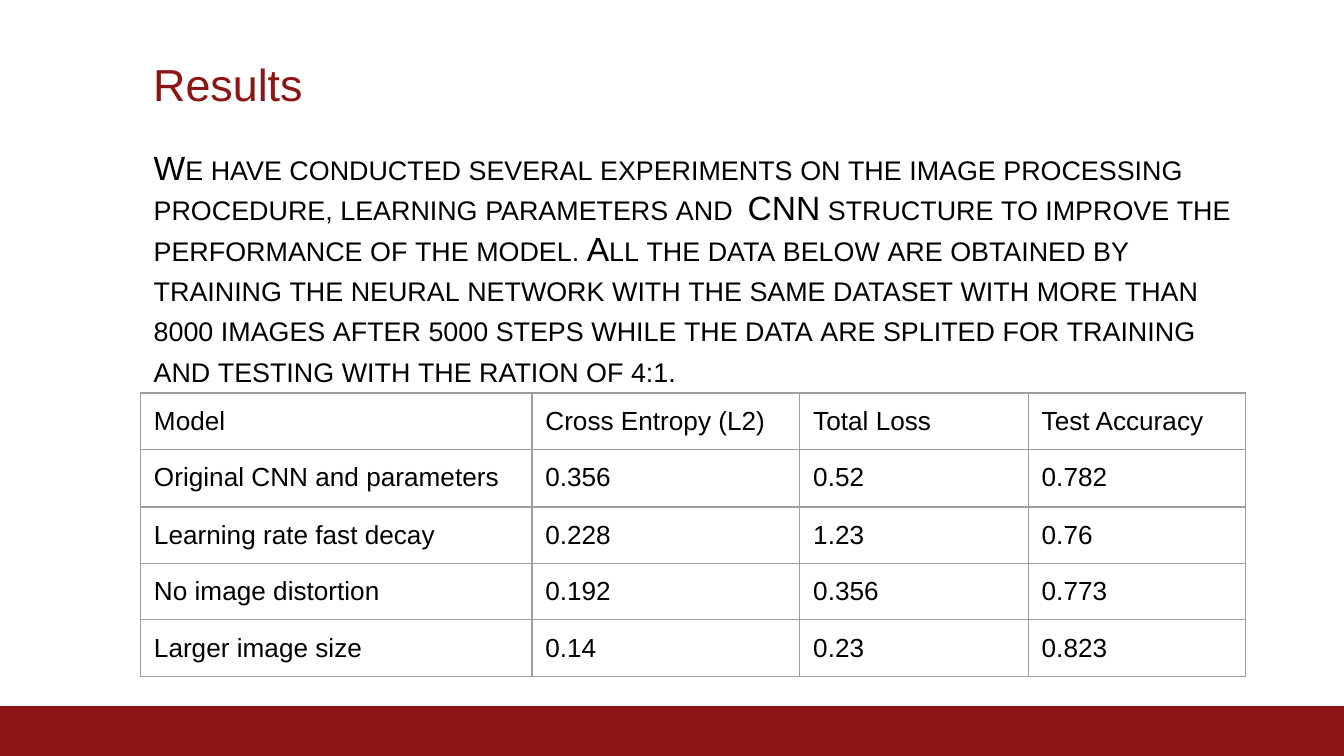
"""Build a results slide with a summary paragraph and a model comparison table."""
from lxml import etree
from pptx import Presentation
from pptx import util as u
from pptx.dml.color import RGBColor
from pptx.enum import shapes, text
from pptx.oxml import ns

CARDINAL = RGBColor(0x8C, 0x15, 0x15)
BLACK = RGBColor(0x00, 0x00, 0x00)
GRAY = RGBColor(0x9E, 0x9E, 0x9E)
FRAME_MARGINS = {f"margin_{side}": u.Pt(7.2) for side in ("left", "right", "top", "bottom")}
CELL_MARGINS = {**FRAME_MARGINS, "margin_bottom": u.Pt(6)}

SUMMARY = (
    "We have conducted several experiments on the image processing procedure, "
    "learning parameters and  CNN structure to improve the performance of the model. "
    "All the data below are obtained by training the neural network with the same dataset "
    "with more than 8000 images after 5000 steps while the data are splited for training "
    "and testing with the ration of 4:1."
)
RESULTS = [
    ["Model", "Cross Entropy (L2)", "Total Loss", "Test Accuracy"],
    ["Original CNN and parameters", "0.356", "0.52", "0.782"],
    ["Learning rate fast decay", "0.228", "1.23", "0.76"],
    ["No image distortion", "0.192", "0.356", "0.773"],
    ["Larger image size", "0.14", "0.23", "0.823"],
]
COLUMN_WIDTHS = [209.7, 143.5, 122.4, 116.2]
ROW_HEIGHTS = [30.2, 31, 30.2, 30.2, 30.2]


def write_text(frame, content, size, color, spacing=1.0):
    frame.word_wrap = True
    paragraph = frame.paragraphs[0]
    paragraph.line_spacing = spacing
    run = paragraph.add_run()
    run.text = content
    run.font.color.rgb = color
    for name, value in {"name": "Arial", "size": u.Pt(size), "bold": False}.items():
        setattr(run.font, name, value)
    return run


def add_border(cell, side):
    properties = cell._tc.get_or_add_tcPr()
    line = etree.SubElement(properties, ns.qn(f"a:{side}"), w=str(u.Pt(0.75)))
    fill = etree.SubElement(line, ns.qn("a:solidFill"))
    etree.SubElement(fill, ns.qn("a:srgbClr"), val=str(GRAY))


presentation = Presentation()
presentation.slide_width = u.Pt(720)
presentation.slide_height = u.Pt(405)
slide = presentation.slides.add_slide(presentation.slide_layouts[6])

footer = slide.shapes.add_shape(
    shapes.MSO_SHAPE.RECTANGLE, u.Pt(0), u.Pt(378.6), u.Pt(720), u.Pt(27)
)
footer.shadow.inherit = False
footer.fill.solid()
footer.fill.fore_color.rgb = CARDINAL
footer.line.color.rgb = CARDINAL
footer.line.width = u.Pt(0.75)

text_blocks = [
    ("Results", (75, 28.4, 607, 38), 24, CARDINAL, 0.85, text.MSO_ANCHOR.BOTTOM, "none"),
    (SUMMARY, (75.3, 71.5, 606.5, 296), 18, BLACK, 1.0, text.MSO_ANCHOR.TOP, "small"),
]
for content, bounds, size, color, spacing, anchor, caps in text_blocks:
    frame = slide.shapes.add_textbox(*map(u.Pt, bounds)).text_frame
    frame.vertical_anchor = anchor
    for name, value in FRAME_MARGINS.items():
        setattr(frame, name, value)
    run = write_text(frame, content, size, color, spacing)
    run._r.get_or_add_rPr().set("cap", caps)

table = slide.shapes.add_table(
    len(RESULTS), len(COLUMN_WIDTHS), u.Pt(75.3), u.Pt(210.5),
    u.Pt(sum(COLUMN_WIDTHS)), u.Pt(sum(ROW_HEIGHTS)),
).table
table.first_row = False
table.horz_banding = False
for column, width in zip(table.columns, COLUMN_WIDTHS):
    column.width = u.Pt(width)
for row, height, values in zip(table.rows, ROW_HEIGHTS, RESULTS):
    row.height = u.Pt(height)
    for cell, value in zip(row.cells, values):
        for name, margin in CELL_MARGINS.items():
            setattr(cell, name, margin)
        for side in ("lnL", "lnR", "lnT", "lnB"):
            add_border(cell, side)
        cell.fill.background()
        write_text(cell.text_frame, value, 14, BLACK)

presentation.save("out.pptx")
